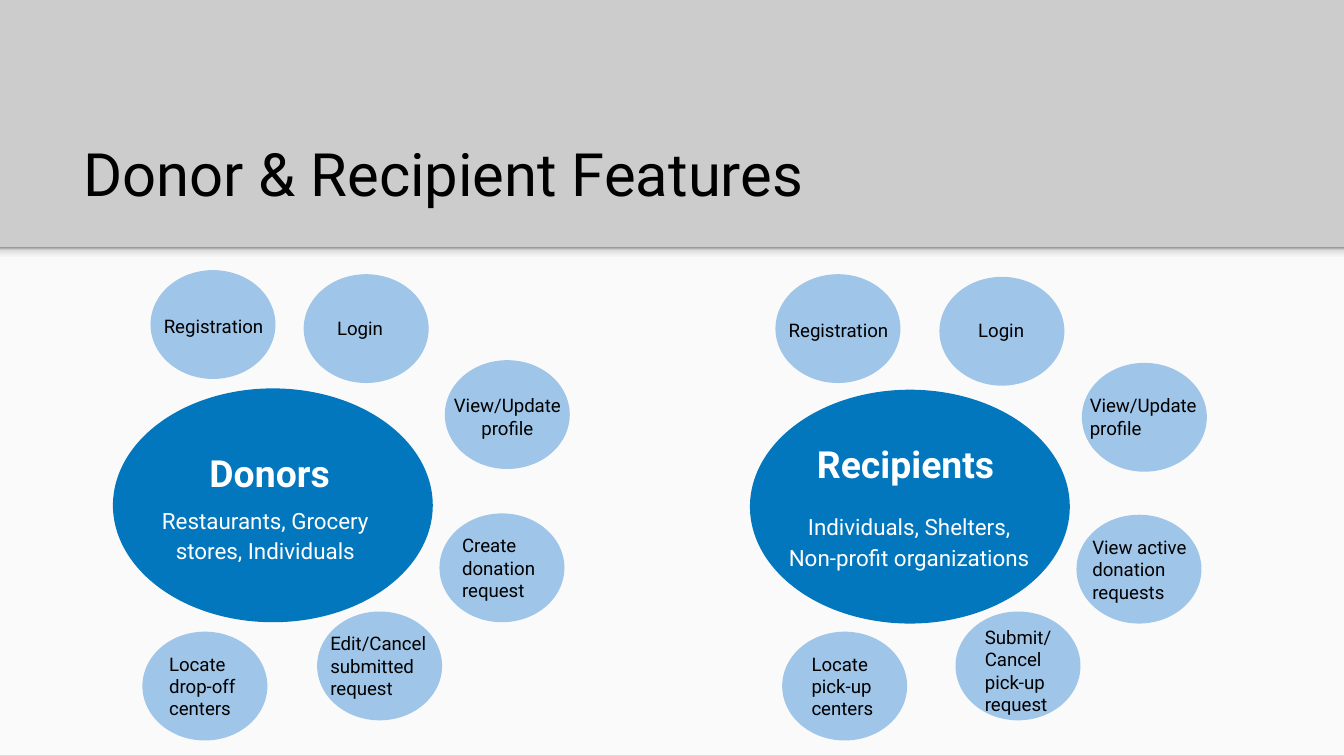
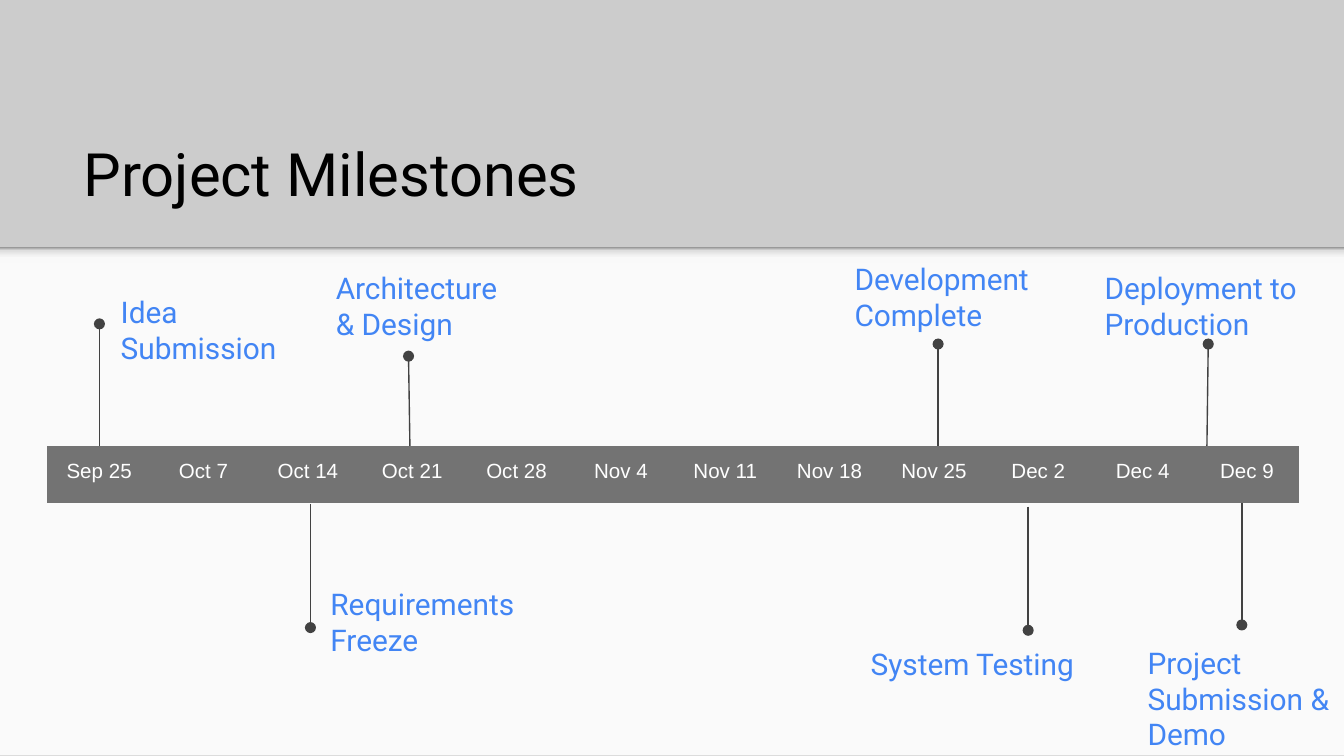
from pptx import Presentation
from pptx.dml.color import RGBColor
from pptx.enum.shapes import MSO_CONNECTOR as Connector, MSO_SHAPE as Preset
from pptx.enum.text import MSO_ANCHOR as Anchor, MSO_AUTO_SIZE as AutoSize, PP_ALIGN as Align
from pptx.oxml import parse_xml
from pptx.oxml.ns import nsdecls, qn
from pptx.util import Inches, Pt

COLORS = {
    "band": "CCCCCC", "panel": "FAFAFA", "hub": "0277BD", "bubble": "9FC5E8",
    "white": "FFFFFF", "black": "000000", "milestone": "4285F4",
    "stem": "424242", "timeline": "737373",
}
SHADE_STOPS = [(0, "F9F9F9"), (36, "F9F9F9"), (80, "DEDEDE"), (100, "999999")]
PLAIN_TABLE_STYLE = "{2D5ABB26-0587-4C30-8999-92F81FD0307C}"
PANEL_TOP = 1.84
INSET = 0.1
BUBBLE_SIZE = (0.93, 0.81)
HUB_SIZE = (2.38, 1.74)

# name, hub corner, heading box, description, description corner
HUBS = [
    ("Donors", (0.84, 2.89), (1.46, 3.25, 1.15),
     "Restaurants, Grocery stores, Individuals", (0.98, 3.64)),
    ("Recipients", (5.58, 2.9), (5.98, 3.18, 1.58),
     "Individuals, Shelters, Non-profit organizations", (5.77, 3.69)),
]
# label, bubble corner, label corner, label width, line count, alignment
FEATURES = [
    ("Registration", (1.12, 2.01), (1.12, 2.24), 1.01, 1, Align.LEFT),
    ("Login", (2.26, 2.04), (2.41, 2.26), 0.62, 1, Align.LEFT),
    ("View/Update profile", (3.31, 2.68), (3.27, 2.83), 1.01, 2, Align.CENTER),
    ("Create donation request", (3.27, 3.82), (3.34, 3.87), 0.8, 3, Align.LEFT),
    ("Edit/Cancel submitted request", (2.36, 4.55), (2.36, 4.6), 0.93, 3, Align.LEFT),
    ("Locate drop-off centers", (1.06, 4.7), (1.16, 4.75), 0.73, 3, Align.LEFT),
    ("Registration", (5.77, 2.04), (5.77, 2.27), 1.01, 1, Align.LEFT),
    ("Login", (6.99, 2.06), (7.18, 2.27), 0.62, 1, Align.LEFT),
    ("View/Update profile", (8.05, 2.7), (8.01, 2.83), 1.01, 2, Align.LEFT),
    ("View active donation requests", (8.01, 3.83), (8.03, 3.88), 0.97, 3, Align.LEFT),
    ("Submit/ Cancel pick-up request", (7.11, 4.55), (7.23, 4.55), 0.8, 4, Align.LEFT),
    ("Locate pick-up centers", (5.82, 4.7), (5.94, 4.75), 0.8, 3, Align.LEFT),
]
DATES = ["Sep 25", "Oct 7", "Oct 14", "Oct 21", "Oct 28", "Nov 4",
         "Nov 11", "Nov 18", "Nov 25", "Dec 2", "Dec 4", "Dec 9"]
# label, label corner, label width, stem start, stem end
MILESTONES = [
    ("Idea\nSubmission", (0.8, 2.24), 1.98, (0.74, 3.33), (0.74, 2.41)),
    ("Requirements Freeze", (2.36, 4.41), 1.98, (2.31, 3.75), (2.31, 4.67)),
    ("Architecture & Design", (2.4, 2.06), 1.49, (3.05, 3.32), (3.04, 2.65)),
    ("Development Complete", (6.26, 1.99), 1.98, (6.98, 3.48), (6.98, 2.56)),
    ("System Testing", (6.38, 4.72), 1.98, (7.65, 3.77), (7.65, 4.69)),
    ("Deployment to Production", (8.12, 2.06), 1.98, (8.98, 3.33), (8.99, 2.56)),
    ("Project Submission & Demo", (8.44, 4.98), 1.98, (9.24, 3.74), (9.24, 4.65)),
]


def color(name):
    """Return the named palette colour."""
    return RGBColor.from_string(COLORS[name])


def style_paragraph(paragraph, size, color_name, align=Align.LEFT, bold=False, font="Roboto"):
    """Set the alignment and font of a paragraph."""
    paragraph.alignment = align
    paragraph.font.name = font
    paragraph.font.size = Pt(size)
    paragraph.font.bold = bold
    paragraph.font.color.rgb = color(color_name)


def set_insets(target):
    """Give a text frame or table cell equal margins."""
    target.margin_left = target.margin_right = Inches(INSET)
    target.margin_top = target.margin_bottom = Inches(INSET)


def add_shape(slide, preset, left, top, width, height, fill=None):
    """Add a shape without outline or shadow."""
    shape = slide.shapes.add_shape(
        preset, Inches(left), Inches(top), Inches(width), Inches(height))
    shape.shadow.inherit = False
    shape.line.fill.background()
    if fill:
        shape.fill.solid()
        shape.fill.fore_color.rgb = color(fill)
    return shape


def add_text(slide, text, left, top, width, height, size, color_name,
             anchor=Anchor.MIDDLE, align=Align.LEFT, bold=False):
    """Add a wrapped text box and return its text frame."""
    box = slide.shapes.add_textbox(Inches(left), Inches(top), Inches(width), Inches(height))
    frame = box.text_frame
    frame.word_wrap = True
    frame.vertical_anchor = anchor
    set_insets(frame)
    frame.text = text
    for paragraph in frame.paragraphs:
        style_paragraph(paragraph, size, color_name, align, bold)
    return frame


def add_shade(slide):
    """Add the soft gradient under the title band."""
    shade = add_shape(slide, Preset.RECTANGLE, 0, PANEL_TOP, 10, 0.12)
    stops = "".join(
        f'<a:gs pos="{position * 1000}"><a:srgbClr val="{value}"/></a:gs>'
        for position, value in SHADE_STOPS)
    gradient = parse_xml(
        f'<a:gradFill {nsdecls("a")}><a:gsLst>{stops}</a:gsLst>'
        f'<a:lin ang="{270 * 60000}" scaled="0"/></a:gradFill>')
    shade._element.spPr.find(qn("a:prstGeom")).addnext(gradient)


def add_titled_slide(presentation, text):
    """Add a slide with the panel, shade and title."""
    slide = presentation.slides.add_slide(presentation.slide_layouts[5])
    add_shape(slide, Preset.RECTANGLE, 0, PANEL_TOP, 10, 3.78, "panel")
    add_shade(slide)
    title = slide.shapes.title
    title.left, title.top = Inches(0.52), Inches(0.81)
    title.width, title.height = Inches(8.99), Inches(0.84)
    frame = title.text_frame
    frame.text = text
    frame.auto_size = AutoSize.NONE
    frame.vertical_anchor = Anchor.BOTTOM
    set_insets(frame)
    style_paragraph(frame.paragraphs[0], 32, "black")
    frame.paragraphs[0].space_after = Pt(4)
    return slide


def add_hub(slide, name, corner, heading, description, description_corner):
    """Add a large ellipse with a heading and a description."""
    add_shape(slide, Preset.OVAL, *corner, *HUB_SIZE, "hub")
    add_text(slide, name, *heading, 0.54, 20, "white", Anchor.TOP, bold=True)
    frame = add_text(slide, description, *description_corner, 1.99, 0.64, 12, "white",
                     Anchor.TOP, Align.CENTER)
    frame.paragraphs[0].line_spacing = 1.15
    frame.paragraphs[0].space_after = Pt(16)


def add_feature(slide, label, corner, label_corner, width, line_count, align):
    """Add a small ellipse with its label."""
    add_shape(slide, Preset.OVAL, *corner, *BUBBLE_SIZE, "bubble")
    height = 2 * INSET + 0.17 * line_count
    add_text(slide, label, *label_corner, width, height, 10, "black", align=align)


def add_stem(slide, start, end):
    """Add a thin line that ends in a dot."""
    stem = slide.shapes.add_connector(
        Connector.STRAIGHT, *(Inches(value) for value in (*start, *end)))
    stem.line.color.rgb = color("stem")
    stem.line.width = Pt(0.75)
    properties = stem._element.spPr
    properties.find(qn("a:ln")).append(parse_xml(f'<a:tailEnd {nsdecls("a")} type="oval"/>'))
    properties.append(parse_xml(f'<a:effectLst {nsdecls("a")}/>'))


def add_timeline(slide):
    """Add the one-row table of dates."""
    table = slide.shapes.add_table(
        1, len(DATES), Inches(0.35), Inches(3.32), Inches(9.32), Inches(0.42)).table
    table.first_row = table.horz_banding = False
    table._tbl.tblPr.find(qn("a:tableStyleId")).text = PLAIN_TABLE_STYLE
    for cell, date in zip(table.rows[0].cells, DATES):
        cell.text = date
        cell.fill.solid()
        cell.fill.fore_color.rgb = color("timeline")
        set_insets(cell)
        style_paragraph(cell.text_frame.paragraphs[0], 11, "white", Align.CENTER, font="Arial")


def build_features(presentation):
    """Build the slide of donor and recipient features."""
    slide = add_titled_slide(presentation, "Donor & Recipient Features")
    for feature in FEATURES:
        add_feature(slide, *feature)
    for hub in HUBS:
        add_hub(slide, *hub)


def build_milestones(presentation):
    """Build the slide of project milestones."""
    slide = add_titled_slide(presentation, "Project Milestones")
    for label, corner, width, start, end in MILESTONES:
        add_stem(slide, start, end)
        add_text(slide, label, *corner, width, 0.43, 16, "milestone")
    add_timeline(slide)


def main():
    """Build and save the presentation."""
    presentation = Presentation()
    presentation.slide_width = Inches(10)
    presentation.slide_height = Inches(10 * 9 / 16)
    background = presentation.slide_master.background.fill
    background.solid()
    background.fore_color.rgb = color("band")
    build_features(presentation)
    build_milestones(presentation)
    presentation.save("out.pptx")


if __name__ == "__main__":
    main()
